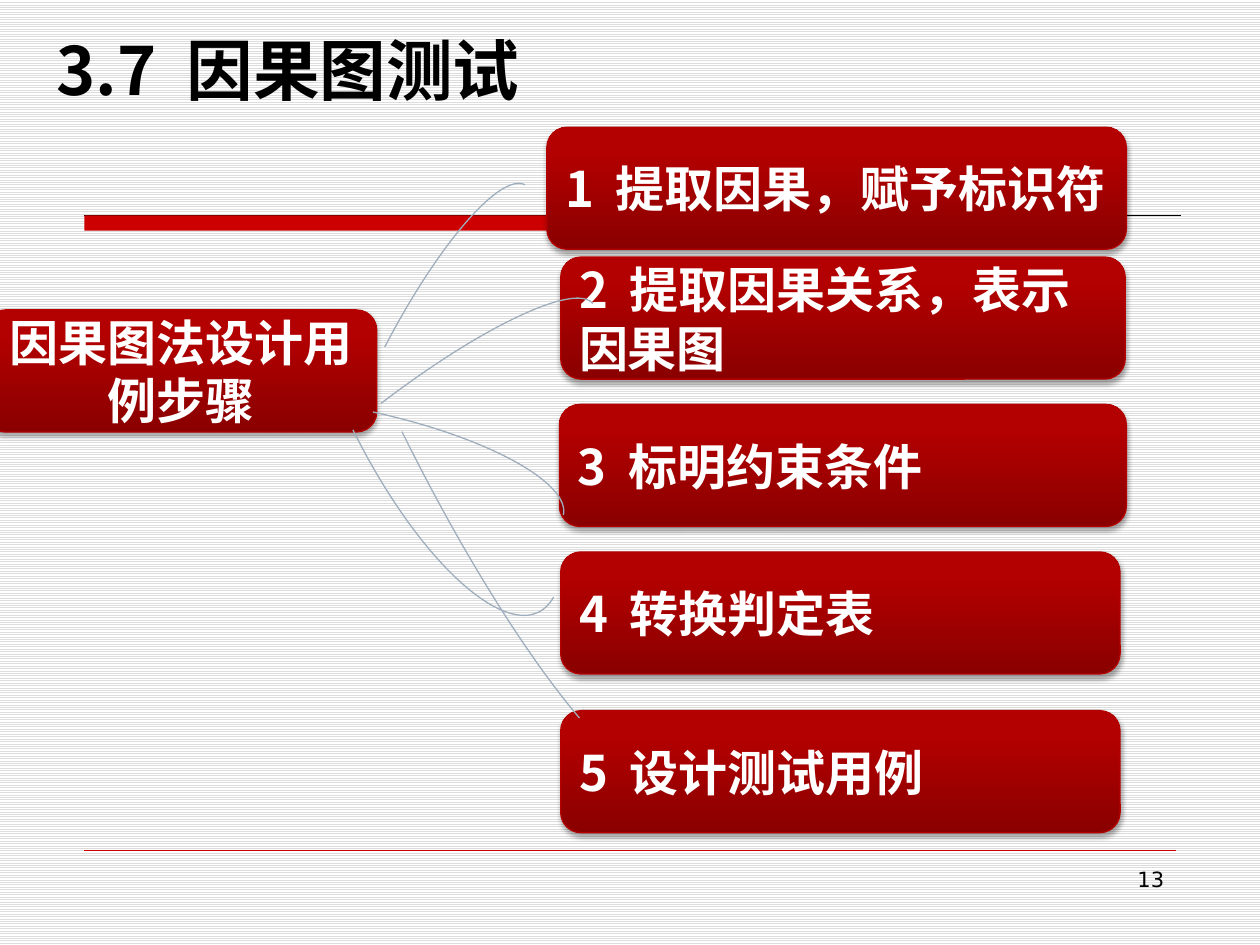
from dataclasses import dataclass

from lxml.etree import SubElement
from pptx import Presentation
from pptx.dml.color import RGBColor
from pptx.enum.dml import MSO_PATTERN
from pptx.enum.shapes import MSO_CONNECTOR, MSO_SHAPE
from pptx.enum.text import MSO_ANCHOR, MSO_AUTO_SIZE, PP_ALIGN
from pptx.oxml import parse_xml
from pptx.oxml.ns import nsdecls, qn
from pptx.util import Pt


@dataclass(frozen=True)
class Theme:
    heading_font: str = "Noto Sans CJK SC"
    number_font: str = "DejaVu Sans"
    title_size: int = 38
    box_size: int = 28
    number_size: int = 12
    black: str = "000000"
    white: str = "FFFFFF"
    stripe: str = "DDDDDD"
    red: str = "CC0000"
    box_edge: str = "B50000"
    curve: str = "9FAEBD"
    # Position in percent and colour, from the bottom up
    box_gradient: tuple = ((0, "8A0000"), (80, "B30000"), (100, "B40000"))


class SlideBuilder:
    def __init__(self, presentation, theme):
        self.theme = theme
        self.slide = presentation.slides.add_slide(presentation.slide_layouts[5])
        self.shapes = self.slide.shapes

    def background(self):
        fill = self.slide.background.fill
        fill.patterned()
        fill.pattern = MSO_PATTERN.LIGHT_HORIZONTAL
        fill.fore_color.rgb = RGBColor.from_string(self.theme.stripe)
        fill.back_color.rgb = RGBColor.from_string(self.theme.white)

    def set_text(self, shape, text, size, color, font_name, bold=False,
                 align=PP_ALIGN.LEFT, anchor=MSO_ANCHOR.MIDDLE):
        frame = shape.text_frame
        frame.word_wrap = True
        frame.auto_size = MSO_AUTO_SIZE.NONE
        frame.vertical_anchor = anchor
        paragraph = frame.paragraphs[0]
        paragraph.alignment = align
        number, space, words = text.partition(" ")
        paragraph.add_run().text = number
        if space:
            # Widen the gap between number and words by tracking
            gap = paragraph.add_run()
            gap.text = space
            gap.font._element.set("spc", str(round(size * 22)))
            paragraph.add_run().text = words
        font = paragraph.font
        font.name, font.size, font.bold = font_name, Pt(size), bold
        font.color.rgb = RGBColor.from_string(color)
        defaults = paragraph._p.pPr.find(qn("a:defRPr"))
        SubElement(defaults, qn("a:ea")).set("typeface", font_name)

    def title(self, text, left, top, width, height):
        shape = self.shapes.title
        shape.left, shape.top = Pt(left), Pt(top)
        shape.width, shape.height = Pt(width), Pt(height)
        self.set_text(shape, text, self.theme.title_size, self.theme.black,
                      self.theme.heading_font, bold=True, anchor=MSO_ANCHOR.BOTTOM)

    def page_number(self, text, left, top, width, height):
        shape = self.shapes.add_textbox(Pt(left), Pt(top), Pt(width), Pt(height))
        self.set_text(shape, text, self.theme.number_size, self.theme.black,
                      self.theme.number_font, align=PP_ALIGN.RIGHT, anchor=MSO_ANCHOR.TOP)

    def shape(self, kind, left, top, width, height, line, line_width=0.75):
        shape = self.shapes.add_shape(kind, Pt(left), Pt(top), Pt(width), Pt(height))
        shape.shadow.inherit = False
        shape.line.color.rgb = RGBColor.from_string(line)
        shape.line.width = Pt(line_width)
        return shape

    def bar(self, left, top, width, height):
        shape = self.shape(MSO_SHAPE.RECTANGLE, left, top, width, height, self.theme.red)
        shape.fill.solid()
        shape.fill.fore_color.rgb = RGBColor.from_string(self.theme.red)
        shape.line.fill.background()

    def rule(self, left, right, top, color, width):
        line = self.shapes.add_connector(
            MSO_CONNECTOR.STRAIGHT, Pt(left), Pt(top), Pt(right), Pt(top))
        line.line.color.rgb = RGBColor.from_string(color)
        line.line.width = Pt(width)
        SubElement(line._element.spPr, qn("a:effectLst"))

    def box(self, text, left, top, width, height, align=PP_ALIGN.LEFT):
        shape = self.shape(MSO_SHAPE.ROUNDED_RECTANGLE, left, top, width, height,
                           self.theme.box_edge)
        properties = shape._element.spPr
        # Three-stop gradient, darkest at the bottom
        stops = "".join(
            f'<a:gs pos="{position * 1000}"><a:srgbClr val="{color}"/></a:gs>'
            for position, color in self.theme.box_gradient)
        properties.find(qn("a:prstGeom")).addnext(parse_xml(
            f'<a:gradFill {nsdecls("a")} rotWithShape="1"><a:gsLst>{stops}</a:gsLst>'
            '<a:lin ang="16200000" scaled="0"/></a:gradFill>'))
        # Soft shadow below
        properties.find(qn("a:effectLst")).append(parse_xml(
            f'<a:outerShdw {nsdecls("a")} blurRad="{Pt(3.1)}" dist="{Pt(1.8)}" '
            'dir="5400000" rotWithShape="0"><a:srgbClr val="000000">'
            '<a:alpha val="35000"/></a:srgbClr></a:outerShdw>'))
        self.set_text(shape, text, self.theme.box_size, self.theme.white,
                      self.theme.heading_font, bold=True, align=align)

    def arc(self, left, top, width, height, rotation, start=None):
        shape = self.shape(MSO_SHAPE.ARC, left, top, width, height, self.theme.curve)
        shape.fill.background()
        shape.rotation = rotation
        if start is not None:
            shape.adjustments[0] = start


BOX_HEIGHT = 69.8
# Text, left, top, width
STEPS = (
    ("1 提取因果，赋予标识符", 312.5, 72.7, 331.2),
    ("2 提取因果关系，表示因果图", 320.4, 146.9, 322.6),
    ("3 标明约束条件", 319.7, 231.1, 324),
    ("4 转换判定表", 320.4, 315.4, 319.7),
    ("5 设计测试用例", 320.4, 406.1, 319.7),
)
# Left, top, width, height, rotation, start of the arc
CURVES = (
    (126, 182.9, 238.3, 56.9, 297.4),
    (104.4, 224.6, 261.4, 56.9, 322.5),
    (87.1, 234.7, 237.6, 69.1, 12.2),
    (196.6, 83.5, 97.9, 280.8, 153.7, 159.11),
    (224.6, -20.2, 97.9, 490.3, 153.7, 167.43),
)


def main():
    presentation = Presentation()
    presentation.slide_width, presentation.slide_height = Pt(720), Pt(540)
    theme = Theme()
    builder = SlideBuilder(presentation, theme)

    # Frame of the page
    builder.background()
    builder.rule(48.2, 674.6, 123.1, theme.black, 0.75)
    builder.bar(48.2, 123.1, 366.5, 8.7)
    builder.rule(48.2, 671.8, 486, theme.red, 0.25)
    builder.page_number("13", 516.2, 491.8, 156.2, 37.4)
    builder.title("3.7 因果图测试", 25.2, -30.2, 630, 95.8)

    # Method and its steps
    builder.box("因果图法设计用例步骤", -8.6, 177.1, 223.9, BOX_HEIGHT, PP_ALIGN.CENTER)
    for text, left, top, width in STEPS:
        builder.box(text, left, top, width, BOX_HEIGHT)

    # Curves from the method to the steps
    for curve in CURVES:
        builder.arc(*curve)

    presentation.save("out.pptx")


if __name__ == "__main__":
    main()
